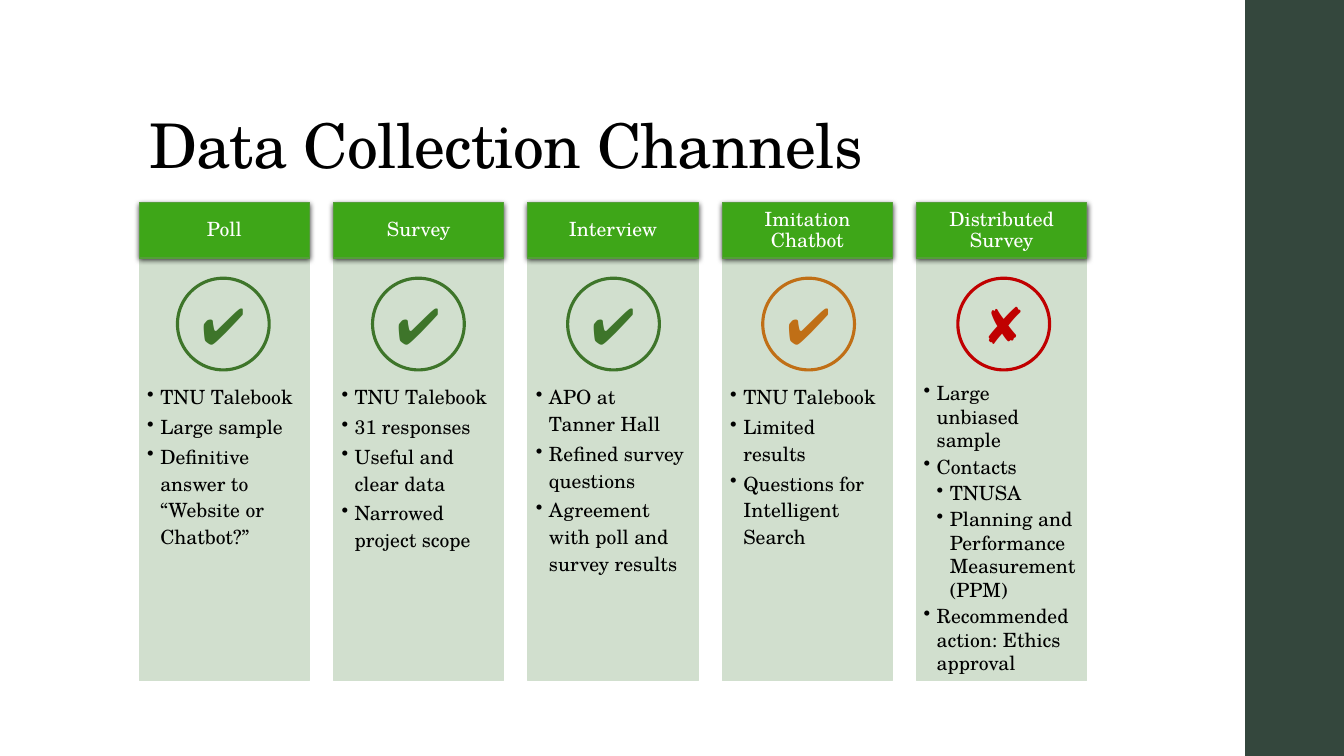
from copy import deepcopy
from dataclasses import dataclass
from typing import Any

from lxml.etree import SubElement
from pptx import Presentation
from pptx.dml.color import RGBColor
from pptx.enum.shapes import MSO_SHAPE as SHAPE
from pptx.enum.text import MSO_ANCHOR as ANCHOR, PP_ALIGN as ALIGN
from pptx.oxml.ns import qn
from pptx.util import Inches, Pt

FONT = "TeX Gyre Schola"
BLACK, WHITE, SIDEBAR = "000000", "FFFFFF", "34473D"
HEADER, HEADER_LINE, PANEL = "3EA618", "549E39", "D1DFCE"
GREEN, ORANGE, RED = "3E752A", "C06F16", "C00000"

FIRST_X, LAST_X, WIDTH = 1.38, 9.09, 1.69
HEAD_TOP, HEAD_H = 2.01, 0.55
BODY_TOP, BODY_H = HEAD_TOP + HEAD_H, 4.19
FIRST_BADGE_X, LAST_BADGE_X = 1.76, 9.5
BADGE_TOP, BADGE_D = 2.76, 0.91
INDENT = 0.13


@dataclass(frozen=True)
class Bullet:
    text: str
    level: int = 1


@dataclass(frozen=True)
class Channel:
    name: str
    mark: str
    color: str
    bullets: tuple[Bullet, ...]
    spacing: float = 1.14
    inset: tuple[float, ...] = (0.08, 1.23, 0.11, 0.12)


CHANNELS = (
    Channel("Poll", "✔", GREEN, (
        Bullet("TNU Talebook"),
        Bullet("Large sample"),
        Bullet("Definitive answer to\n“Website or Chatbot?”"))),
    Channel("Survey", "✔", GREEN, (
        Bullet("TNU Talebook"),
        Bullet("31 responses"),
        Bullet("Useful and clear data"),
        Bullet("Narrowed project scope"))),
    Channel("Interview", "✔", GREEN, (
        Bullet("APO at Tanner Hall"),
        Bullet("Refined survey questions"),
        Bullet("Agreement with poll and survey results"))),
    Channel("Imitation Chatbot", "✔", ORANGE, (
        Bullet("TNU Talebook"),
        Bullet("Limited results"),
        Bullet("Questions for Intelligent Search"))),
    Channel("Distributed Survey", "✘", RED, (
        Bullet("Large\nunbiased sample"),
        Bullet("Contacts"),
        Bullet("TNUSA", 2),
        Bullet("Planning and Performance Measurement (PPM)", 2),
        Bullet("Recommended action: Ethics approval")),
        1.0, (0.07, 1.22, 0.08, 0.12)),
)


def rgb(color: str) -> RGBColor:
    return RGBColor.from_string(color)


def assign(obj: Any, **values: Any) -> None:
    for name, value in values.items():
        setattr(obj, name, value)


def step(first: float, last: float, i: int) -> float:
    return first + (last - first) * i / (len(CHANNELS) - 1)


def add_box(slide: Any, kind: Any, at: tuple[float, ...], fill: str = "",
            line: str = "", weight: float = 0.75) -> Any:
    sp = slide.shapes.add_shape(kind, *map(Inches, at))
    sp.shadow.inherit = False
    if fill:
        sp.fill.solid()
        sp.fill.fore_color.rgb = rgb(fill)
    else:
        sp.fill.background()
    if line:
        sp.line.color.rgb = rgb(line)
        sp.line.width = Pt(weight)
    else:
        sp.line.fill.background()
    return sp


def set_frame(sp: Any, anchor: Any, inset: tuple[float, ...]) -> Any:
    tf = sp.text_frame
    left, top, right, bottom = map(Inches, inset)
    assign(tf, word_wrap=True, vertical_anchor=anchor, margin_left=left,
           margin_top=top, margin_right=right, margin_bottom=bottom)
    return tf


def write(p: Any, text: str, size: float, color: str, align: Any = ALIGN.LEFT,
          spacing: float = 1.0, after: float = 0) -> Any:
    assign(p, alignment=align, line_spacing=spacing, space_after=Pt(after))
    p.text = text.replace("\n", "\v")
    for r in p.runs:
        assign(r.font, name=FONT, size=Pt(size))
        r.font.color.rgb = rgb(color)
    for br in p._p.findall(qn("a:br")):
        br.append(deepcopy(p.runs[0]._r.rPr))
    return p.runs[0]


def add_bullet(p: Any, level: int) -> None:
    pPr = p._p.get_or_add_pPr()
    pPr.set("marL", str(Inches(INDENT * level)))
    pPr.set("indent", str(-Inches(INDENT)))
    SubElement(pPr, qn("a:buChar"), char="•")


def add_shadow(sp: Any) -> None:
    effects = sp._element.spPr.find(qn("a:effectLst"))
    shadow = SubElement(effects, qn("a:outerShdw"), blurRad=str(Pt(4)),
                        dist=str(Pt(1.2)), dir="5400000", rotWithShape="0")
    clr = SubElement(shadow, qn("a:srgbClr"), val=BLACK)
    SubElement(clr, qn("a:alpha"), val="75000")


def add_panel(slide: Any, ch: Channel, x: float) -> None:
    sp = add_box(slide, SHAPE.RECTANGLE, (x, BODY_TOP, WIDTH, BODY_H), PANEL, PANEL)
    tf = set_frame(sp, ANCHOR.TOP, ch.inset)
    for i, bullet in enumerate(ch.bullets):
        p = tf.add_paragraph() if i else tf.paragraphs[0]
        write(p, bullet.text, 14, BLACK, spacing=ch.spacing, after=2)
        add_bullet(p, bullet.level)


def add_header(slide: Any, ch: Channel, x: float) -> None:
    sp = add_box(slide, SHAPE.RECTANGLE, (x, HEAD_TOP, WIDTH, HEAD_H), HEADER, HEADER_LINE)
    add_shadow(sp)
    tf = set_frame(sp, ANCHOR.MIDDLE, (0.11, 0.06, 0.11, 0.06))
    write(tf.paragraphs[0], ch.name, 14, WHITE, ALIGN.CENTER, 0.9)


def add_badge(slide: Any, ch: Channel, x: float) -> None:
    at = (x, BADGE_TOP, BADGE_D, BADGE_D)
    sp = add_box(slide, SHAPE.OVAL, at, line=ch.color, weight=2.25)
    tf = set_frame(sp, ANCHOR.MIDDLE, (0.1, 0.05, 0.1, 0.05))
    write(tf.paragraphs[0], ch.mark, 36, ch.color, ALIGN.CENTER)


def add_title(slide: Any, text: str) -> None:
    sp = slide.shapes.add_textbox(*map(Inches, (FIRST_X, 0.4, 10.6, 1.45)))
    tf = set_frame(sp, ANCHOR.BOTTOM, (0.1, 0.05, 0.1, 0.05))
    r = write(tf.paragraphs[0], text, 44, BLACK, spacing=0.9)
    r._r.get_or_add_rPr().set("spc", "-50")


def main() -> None:
    prs = Presentation()
    assign(prs, slide_width=Inches(13.33), slide_height=Inches(7.5))
    slide = prs.slides.add_slide(prs.slide_layouts[6])
    add_box(slide, SHAPE.RECTANGLE, (12.35, 0, 0.98, 7.5), SIDEBAR)
    add_title(slide, "Data Collection Channels")
    for i, ch in enumerate(CHANNELS):
        x = step(FIRST_X, LAST_X, i)
        add_panel(slide, ch, x)
        add_header(slide, ch, x)
        add_badge(slide, ch, step(FIRST_BADGE_X, LAST_BADGE_X, i))
    prs.save("out.pptx")


if __name__ == "__main__":
    main()
